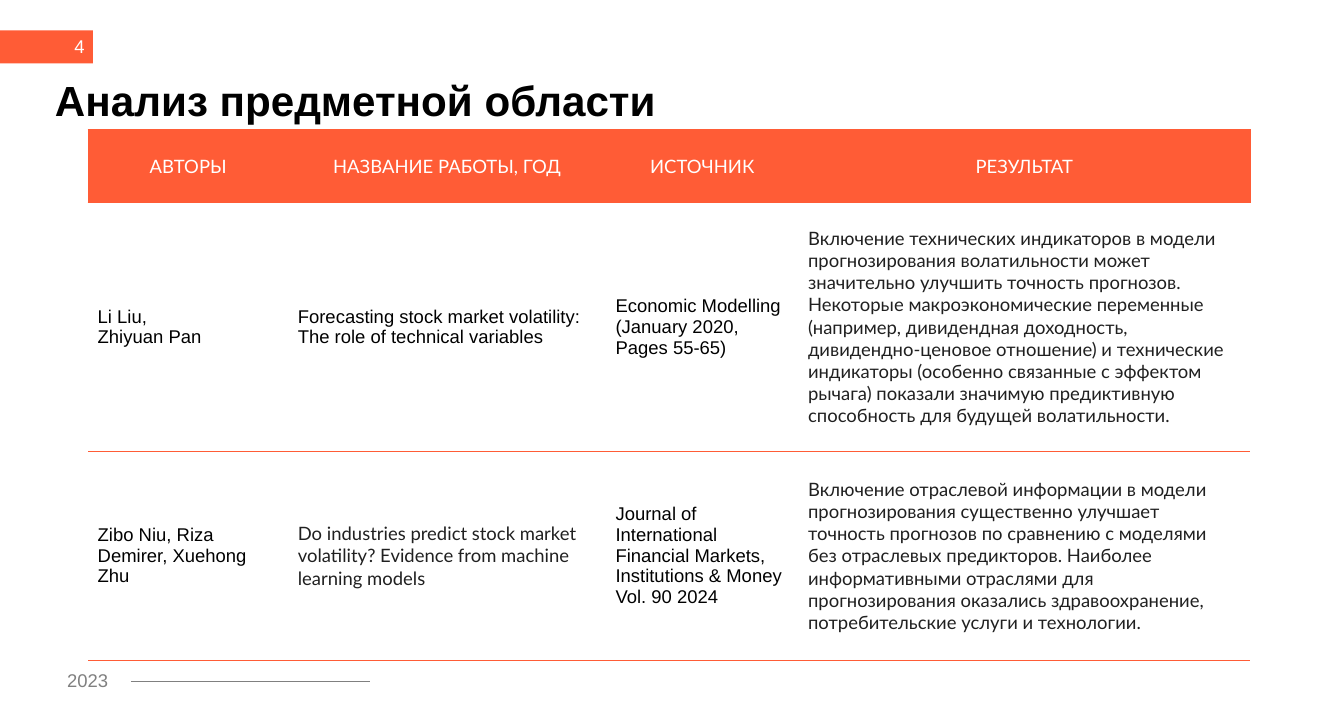
from pptx import Presentation
from pptx.dml.color import RGBColor
from pptx.enum.shapes import MSO_CONNECTOR, MSO_SHAPE
from pptx.enum.text import MSO_ANCHOR, PP_ALIGN
from pptx.oxml.ns import qn
from pptx.util import Inches, Pt
from lxml import etree

LEFT, RIGHT, CENTER = PP_ALIGN.LEFT, PP_ALIGN.RIGHT, PP_ALIGN.CENTER
TOP, MIDDLE = MSO_ANCHOR.TOP, MSO_ANCHOR.MIDDLE
RECT, STRAIGHT = MSO_SHAPE.RECTANGLE, MSO_CONNECTOR.STRAIGHT

ORANGE, WHITE, BLACK, DARK, GRAY = "FF5C36", "FFFFFF", "000000", "202020", "808080"

TITLE = "Анализ предметной области"
PAGE, YEAR = "4", "2023"
HEADS = ["АВТОРЫ", "НАЗВАНИЕ РАБОТЫ, ГОД", "ИСТОЧНИК", "РЕЗУЛЬТАТ"]
PAPERS = [
    [
        "Li Liu,\nZhiyuan Pan",
        "Forecasting stock market volatility: The role of technical variables",
        "Economic Modelling (January 2020, Pages 55-65)",
        "Включение технических индикаторов в модели прогнозирования волатильности "
        "может значительно улучшить точность прогнозов. Некоторые "
        "макроэкономические переменные (например, дивидендная доходность, "
        "дивидендно-ценовое отношение) и технические индикаторы (особенно связанные "
        "с эффектом рычага) показали значимую предиктивную способность для будущей "
        "волатильности.",
    ],
    [
        "Zibo Niu, Riza Demirer, Xuehong Zhu",
        "Do industries predict stock market volatility? Evidence from machine "
        "learning models",
        "Journal of International Financial Markets,\n"
        "Institutions & Money Vol. 90 2024",
        "Включение отраслевой информации в модели прогнозирования существенно "
        "улучшает точность прогнозов по сравнению с моделями без отраслевых "
        "предикторов. Наиболее информативными отраслями для прогнозирования "
        "оказались здравоохранение, потребительские услуги и технологии.",
    ],
]
LATO_CELLS = {(1, 3), (2, 1), (2, 3)}
COLS = [2.11, 3.35, 2.03, 4.76]
ROWS = [0.77, 2.62, 2.21]


def color(code):
    return RGBColor.from_string(code)


def write(frame, text, size=14, font="Arial", tint=BLACK, bold=False,
          align=LEFT, space=1.0):
    frame.word_wrap = True
    for i, line in enumerate(text.split("\n")):
        para = frame.add_paragraph() if i else frame.paragraphs[0]
        para.alignment = align
        para.line_spacing = space
        run = para.add_run()
        run.text = line
        run.font.size = Pt(size)
        run.font.name = font
        run.font.bold = bold
        run.font.color.rgb = color(tint)


def label(box, text, anchor=TOP, inset=None, **style):
    frame = slide.shapes.add_textbox(*map(Inches, box)).text_frame
    frame.vertical_anchor = anchor
    if inset is not None:
        frame.margin_left = frame.margin_right = Inches(inset)
        frame.margin_top = frame.margin_bottom = Inches(inset)
    write(frame, text, **style)


def border(cell, sides):
    props = cell._tc.get_or_add_tcPr()
    for side in "LRTB":
        line = etree.SubElement(props, qn("a:ln" + side), w=str(Pt(1)))
        if side in sides:
            fill = etree.SubElement(line, qn("a:solidFill"))
            etree.SubElement(fill, qn("a:srgbClr"), val=ORANGE)
        else:
            etree.SubElement(line, qn("a:noFill"))


def draw_table():
    box = map(Inches, (0.93, 1.37, sum(COLS), sum(ROWS)))
    table = slide.shapes.add_table(len(ROWS), len(COLS), *box).table
    table.first_row = table.horz_banding = False
    for col, width in zip(table.columns, COLS):
        col.width = Inches(width)
    for row, height in zip(table.rows, ROWS):
        row.height = Inches(height)
    for r, texts in enumerate([HEADS] + PAPERS):
        for c, text in enumerate(texts):
            cell = table.cell(r, c)
            cell.vertical_anchor = MIDDLE
            border(cell, "TB" if r else "LRTB")
            cell.fill.solid()
            cell.fill.fore_color.rgb = color(WHITE if r else ORANGE)
            if r == 0:
                style = dict(font="Lato", tint=WHITE, align=CENTER)
            elif (r, c) in LATO_CELLS:
                style = dict(font="Lato", tint=DARK)
            else:
                style = {}
            write(cell.text_frame, text, **style)


deck = Presentation()
deck.slide_width, deck.slide_height = Inches(14.17), Inches(7.48)
slide = deck.slides.add_slide(deck.slide_layouts[6])

tab = slide.shapes.add_shape(RECT, *map(Inches, (0, 0.32, 0.98, 0.35)))
tab.shadow.inherit = False
tab.fill.solid()
tab.fill.fore_color.rgb = color(ORANGE)
tab.line.fill.background()

label((0.61, 7.01, 0.67, 0.34), YEAR, tint=GRAY)
rule = slide.shapes.add_connector(STRAIGHT, *map(Inches, (1.38, 7.19, 3.9, 7.19)))
rule.line.color.rgb = color(GRAY)
rule.line.width = Pt(1.5)
etree.SubElement(rule._element.spPr, qn("a:effectLst"))

label((0.58, 0.84, 10.47, 0.78), TITLE, inset=0, size=32, bold=True, space=0.9)
label((0.18, 0.29, 0.81, 0.4), PAGE, anchor=MIDDLE, tint=WHITE, align=RIGHT)
draw_table()

deck.save("out.pptx")
